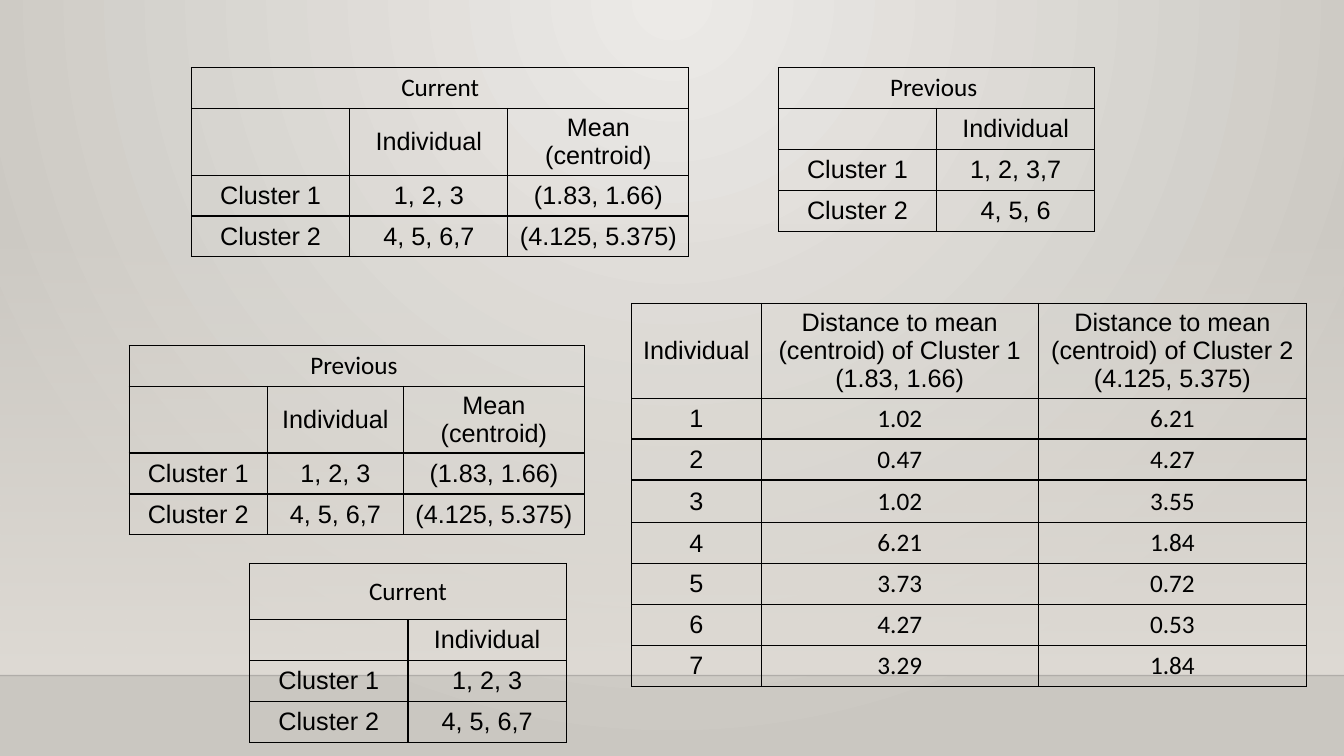
from lxml.etree import SubElement as Sub
from pptx import Presentation
from pptx.dml.color import RGBColor as Rgb
from pptx.enum.shapes import MSO_CONNECTOR as Link, MSO_SHAPE as Shape
from pptx.enum.text import MSO_ANCHOR as Anchor, PP_ALIGN as Align
from pptx.oxml import parse_xml
from pptx.oxml.ns import nsdecls, qn
from pptx.util import Pt

WIDE, HIGH = 960, 540
BLACK = Rgb(0, 0, 0)
EDGE = Rgb(0, 0, 1)
LIGHT = Rgb(0xEC, 0xEA, 0xE7)
DARK = Rgb(0xCA, 0xC7, 0xC1)
WALL = Rgb(0xDF, 0xDB, 0xD5)
ROW, TWO, THREE = 29.2, 47.6, 67.5


def blend(fill, first, last):
    fill.gradient()
    for stop, tint in zip(fill.gradient_stops, (first, last)):
        stop.color.rgb = tint


def fade(root, value):
    Sub(next(root.iter(qn("a:srgbClr"))), qn("a:alpha"), val=str(value * 1000))


def room(slide, top, floor):
    blend(slide.background.fill, LIGHT, DARK)
    grad = next(slide.element.iter(qn("a:gradFill")))
    for line in grad.findall(qn("a:lin")):
        grad.remove(line)
    glow = Sub(grad, qn("a:path"), path="circle")
    Sub(glow, qn("a:fillToRect"), l="43000", t="0", r="43000", b="100000")

    wall = slide.shapes.add_shape(
        Shape.RECTANGLE, 0, Pt(top), Pt(WIDE), Pt(floor - top))
    wall.shadow.inherit = False
    wall.line.fill.background()
    blend(wall.fill, WALL, WALL)
    wall.fill.gradient_angle = 270
    fade(wall.element.spPr, 0)

    edge = slide.shapes.add_connector(
        Link.STRAIGHT, 0, Pt(floor), Pt(WIDE), Pt(floor))
    edge.line.color.rgb = EDGE
    edge.line.width = Pt(1)
    fade(edge.element.spPr, 20)
    Sub(edge.element.spPr, qn("a:effectLst"))


def style(cell, text, font):
    cell.fill.background()
    cell.vertical_anchor = Anchor.MIDDLE
    props = cell._tc.get_or_add_tcPr()
    for spot, side in enumerate("LRTB"):
        props.insert(spot, parse_xml(
            f'<a:ln{side} {nsdecls("a")} w="12700"><a:solidFill>'
            f'<a:srgbClr val="{BLACK}"/></a:solidFill></a:ln{side}>'))
    if not text:
        return
    cell.text_frame.text = text
    for para in cell.text_frame.paragraphs:
        para.alignment = Align.CENTER
        for run in para.runs:
            run.font.size = Pt(18)
            run.font.name = font
            run.font.color.rgb = BLACK


def grid(slide, left, top, cols, rows, data, plain):
    table = slide.shapes.add_table(
        len(rows), len(cols), Pt(left), Pt(top),
        Pt(sum(cols)), Pt(sum(rows))).table
    table.first_row = table.horz_banding = False
    for col, size in zip(table.columns, cols):
        col.width = Pt(size)
    for row, size in zip(table.rows, rows):
        row.height = Pt(size)
    for r, line in enumerate(data):
        for c, text in enumerate(line):
            font = "Calibri" if plain(r, c) else "Arial"
            style(table.cell(r, c), text, font)
    return table


def group(slide, left, top, cols, title, items, means=(), head=ROW):
    data = [[title, ""], ["", "Individual"]]
    data += [[f"Cluster {n}", item] for n, item in enumerate(items, 1)]
    if means:
        for line, text in zip(data, ("", "Mean (centroid)", *means)):
            line.append(text)
    rows = [head, TWO if means else ROW, ROW, ROW]
    table = grid(slide, left, top, cols, rows, data, lambda r, c: r == 0)
    table.cell(0, 0).merge(table.cell(0, len(cols) - 1))


def spans(slide, left, top, cols, means, pairs):
    data = [["Individual"] + [
        f"Distance to mean (centroid) of Cluster {n}\n{mean}"
        for n, mean in enumerate(means, 1)]]
    data += [[str(n), *pair] for n, pair in enumerate(pairs, 1)]
    rows = [THREE] + [ROW] * len(pairs)
    rows[3] = 30.7
    grid(slide, left, top, cols, rows, data, lambda r, c: r and c)


def main():
    deck = Presentation()
    deck.slide_width, deck.slide_height = Pt(WIDE), Pt(HIGH)
    slide = deck.slides.add_slide(deck.slide_layouts[6])
    means = "(1.83, 1.66)", "(4.125, 5.375)"
    old = "1, 2, 3,7", "4, 5, 6"
    new = "1, 2, 3", "4, 5, 6,7"
    pair = [113, 113]
    room(slide, 159, 482.5)
    group(slide, 136.8, 48.3, pair + [129.3], "Current", new, means)
    group(slide, 556, 48.3, pair, "Previous ", old)
    spans(slide, 451.2, 216.7, [92.5, 198, 191.5], means, [
        ("1.02", "6.21"), ("0.47", "4.27"), ("1.02", "3.55"),
        ("6.21", "1.84"), ("3.73", "0.72"), ("4.27", "0.53"),
        ("3.29", "1.84")])
    group(slide, 92.3, 246.8, [98.6, 97.3, 129.3], "Previous ", new, means)
    group(slide, 178.4, 402.4, pair, "Current", new, head=40.2)
    deck.save("out.pptx")


if __name__ == "__main__":
    main()
